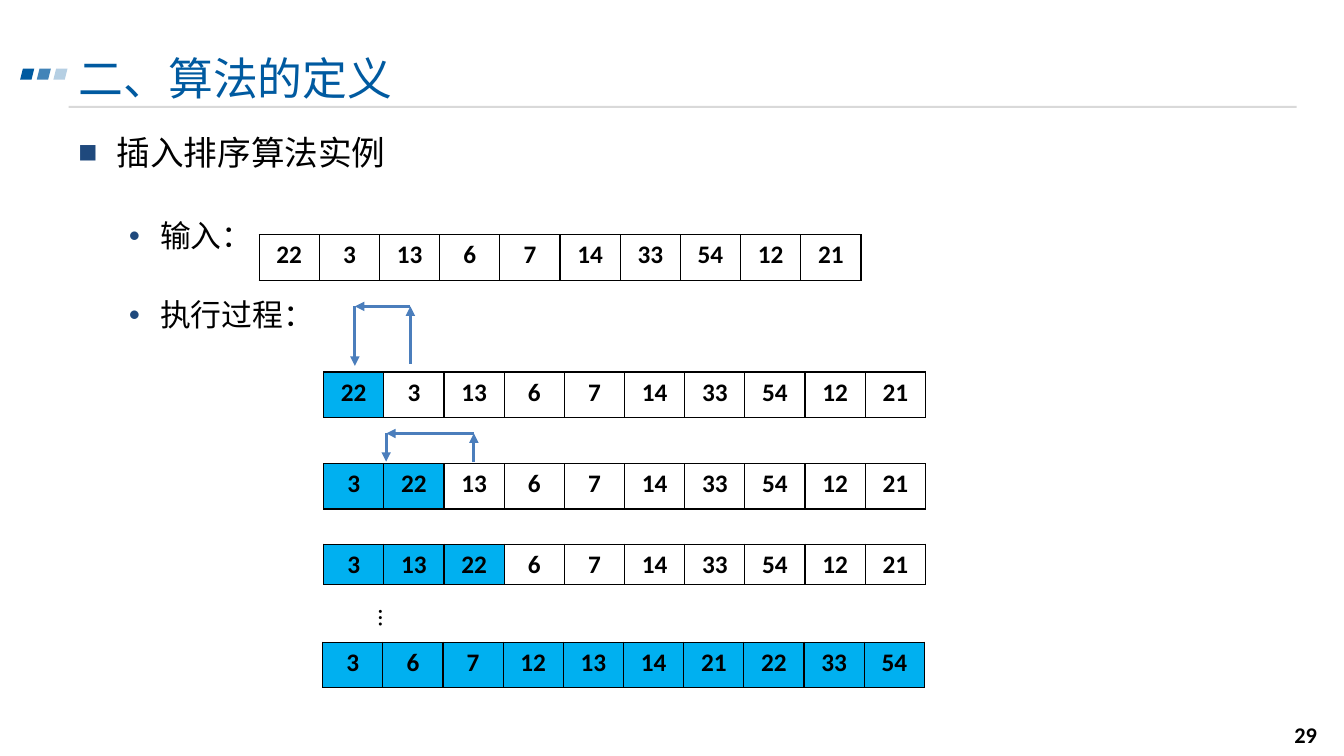
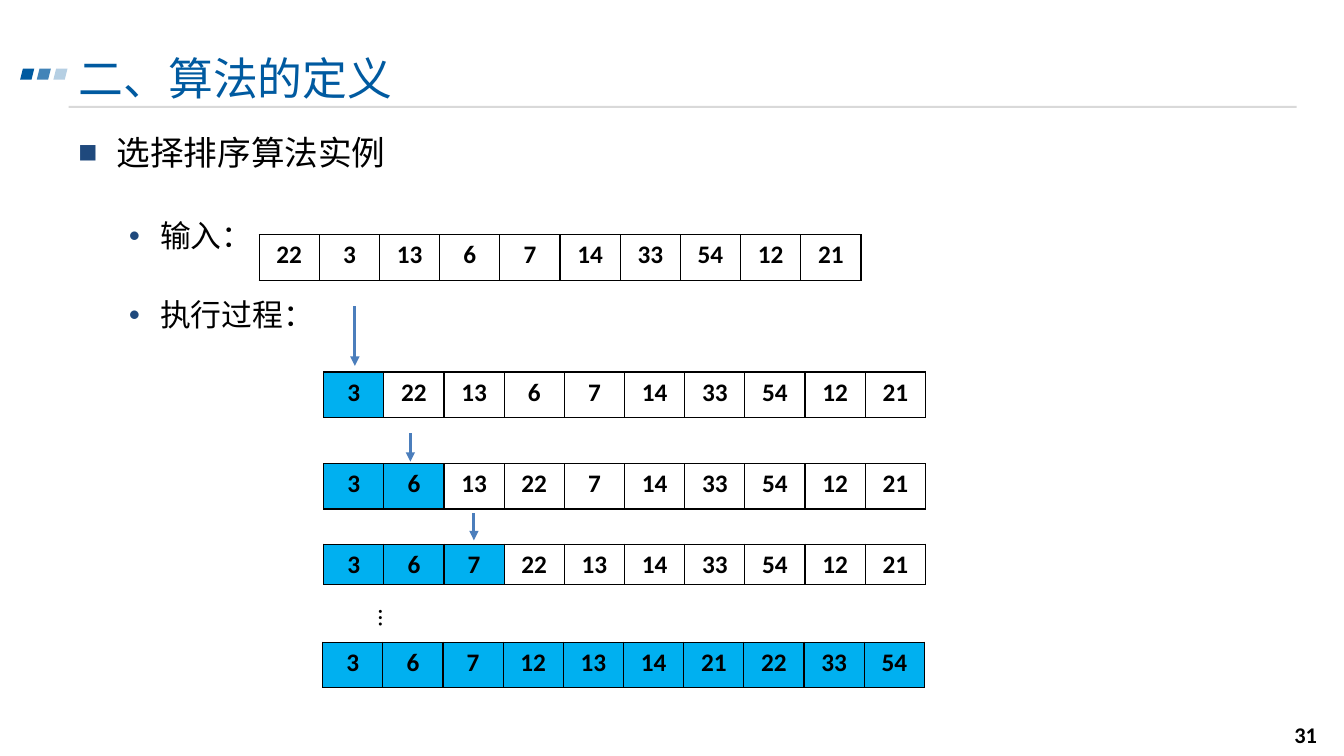
import itertools

import pptx
import pptx.util
import pptx.dml.color
import pptx.enum.shapes
import pptx.enum.text
import pptx.oxml
import pptx.oxml.ns
from lxml import etree

Inches, Pt = pptx.util.Inches, pptx.util.Pt
RGBColor = pptx.dml.color.RGBColor
SHAPE = pptx.enum.shapes.MSO_SHAPE
ALIGN = pptx.enum.text.PP_ALIGN
ANCHOR = pptx.enum.text.MSO_ANCHOR
qn = pptx.oxml.ns.qn

# Style
BLUE = RGBColor(0x00, 0x5A, 0xA0)
BULLET_BLUE = RGBColor(0x1F, 0x49, 0x7D)
ARROW_BLUE = RGBColor(0x4B, 0x7E, 0xBC)
SORTED_BLUE = RGBColor(0x00, 0xB0, 0xF0)
GREY = RGBColor(0xD9, 0xD9, 0xD9)
BLACK = RGBColor(0x00, 0x00, 0x00)
WHITE = RGBColor(0xFF, 0xFF, 0xFF)
LATIN, CJK = "Calibri", "Noto Sans CJK SC"

# Content
TITLE = "二、算法的定义"
INPUT = [22, 3, 13, 6, 7, 14, 33, 54, 12, 21]
RESULT = sorted(INPUT)
SLIDES = [
    {
        "number": "29",
        "heading": "插入排序算法实例",
        "steps": [
            INPUT,
            [3, 22, 13, 6, 7, 14, 33, 54, 12, 21],
            [3, 13, 22, 6, 7, 14, 33, 54, 12, 21],
        ],
        "arrows": [
            [(4.07, 3.61), (4.07, 3.04), (3.52, 3.04), (3.52, 3.63)],
            [(4.7, 4.58), (4.7, 4.3), (3.83, 4.3), (3.83, 4.58)],
        ],
    },
    {
        "number": "31",
        "heading": "选择排序算法实例",
        "steps": [
            [3, 22, 13, 6, 7, 14, 33, 54, 12, 21],
            [3, 6, 13, 22, 7, 14, 33, 54, 12, 21],
            [3, 6, 7, 22, 13, 14, 33, 54, 12, 21],
        ],
        "arrows": [
            [(3.52, 3.04), (3.52, 3.63)],
            [(4.07, 4.3), (4.07, 4.58)],
            [(4.7, 5.09), (4.7, 5.36)],
        ],
    },
]
STEP_PLACES = [(3.69, 0.45), (4.6, 0.45), (5.4, 0.4)]  # top, height
TABLE_WIDTH = 5.97

# Bullet levels: sign, left margin, hanging indent, text size
LEVELS = [("■", 0.38, 0.38, 24), ("●", 0.81, 0.31, 22)]


def add_xml(parent, tag, **attributes):
    return etree.SubElement(parent, qn(tag), attributes)


def set_font(para, size, color, latin=LATIN, bold=False):
    para.font.size = Pt(size)
    para.font.bold = bold
    para.font.name = latin
    para.font.color.rgb = color
    add_xml(para._p.pPr.find(qn("a:defRPr")), "a:ea", typeface=CJK)


def add_text(page, text, left, top, width, height):
    box = page.shapes.add_textbox(*map(Inches, (left, top, width, height)))
    box.text_frame.word_wrap = True
    para = box.text_frame.paragraphs[0]
    para.text = text
    return box, para


def add_plain_shape(page, kind, place, color, opacity=100):
    shape = page.shapes.add_shape(kind, *map(Inches, place))
    shape.shadow.inherit = False
    shape.fill.solid()
    shape.fill.fore_color.rgb = color
    shape.line.fill.background()
    if opacity < 100:
        color_node = shape._element.spPr.find(qn("a:solidFill"))[0]
        add_xml(color_node, "a:alpha", val=str(opacity * 1000))


def add_frame(page, number):
    # Title, rule, three marks and page number
    add_plain_shape(page, SHAPE.RECTANGLE, (0.68, 1.05, 12.18, 0.02), GREY)
    for index, opacity in enumerate((100, 74, 29)):
        place = (0.2 + index * 0.165, 0.68, 0.14, 0.11)
        add_plain_shape(page, SHAPE.PARALLELOGRAM, place, BLUE, opacity)

    title = page.shapes.title
    title.left, title.top = Inches(0.68), Inches(0.44)
    title.width, title.height = Inches(11.02), Inches(0.71)
    title.text_frame.text = TITLE
    title.text_frame.vertical_anchor = ANCHOR.MIDDLE
    para = title.text_frame.paragraphs[0]
    para.alignment = ALIGN.LEFT
    para.line_spacing = Pt(35)
    set_font(para, 32, BLUE)

    box, para = add_text(page, number, 12.44, 7.09, 0.72, 0.4)
    box.text_frame.vertical_anchor = ANCHOR.MIDDLE
    para.alignment = ALIGN.RIGHT
    set_font(para, 16, BLACK, bold=True)


def add_bullets(page, heading):
    box, para = add_text(page, heading, 0.68, 1.26, 12.13, 2.4)
    lines = [(para, 0, 0)]
    for text, gap in (("输入：", 32), ("执行过程：", 29.5)):
        para = box.text_frame.add_paragraph()
        para.text = text
        lines.append((para, 1, gap))
    for para, level, gap in lines:
        sign, margin, hanging, size = LEVELS[level]
        para.level = level
        para.space_before = Pt(gap)
        props = para._p.get_or_add_pPr()
        props.set("marL", str(Inches(margin)))
        props.set("indent", str(-Inches(hanging)))
        add_xml(add_xml(props, "a:buClr"), "a:srgbClr", val=str(BULLET_BLUE))
        add_xml(props, "a:buSzPct", val="60000")
        add_xml(props, "a:buFont", typeface=LATIN)
        add_xml(props, "a:buChar", char=sign)
        set_font(para, size, BLACK, latin=CJK)


def add_row(page, values, left, top, height, sorted_count):
    place = map(Inches, (left, top, TABLE_WIDTH, height))
    table = page.shapes.add_table(1, len(values), *place).table
    table.first_row = table.horz_banding = False
    for index, value in enumerate(values):
        table.columns[index].width = Inches(TABLE_WIDTH / len(values))
        cell = table.cell(0, index)
        cell.text = str(value)
        para = cell.text_frame.paragraphs[0]
        para.alignment = ALIGN.CENTER
        set_font(para, 18, BLACK, bold=True)
        props = cell._tc.get_or_add_tcPr()
        for side in "LRTB":
            border = add_xml(props, "a:ln" + side, w=str(Pt(1)))
            fill = add_xml(border, "a:solidFill")
            add_xml(fill, "a:srgbClr", val=str(BLACK))
        cell.fill.solid()
        cell.fill.fore_color.rgb = SORTED_BLUE if index < sorted_count else WHITE


def add_arrow(page, start, end):
    straight = pptx.enum.shapes.MSO_CONNECTOR.STRAIGHT
    arrow = page.shapes.add_connector(straight, *map(Inches, start + end))
    arrow.line.color.rgb = ARROW_BLUE
    arrow.line.width = Pt(2.25)
    add_xml(arrow.line._get_or_add_ln(), "a:tailEnd", type="triangle")
    add_xml(arrow._element.spPr, "a:effectLst")


def add_slide(deck, content):
    page = deck.slides.add_slide(deck.slide_layouts[5])
    add_frame(page, content["number"])
    add_bullets(page, content["heading"])

    # Input, the first steps and the sorted result
    add_row(page, INPUT, 2.57, 2.33, 0.45, 0)
    for count, (values, (top, height)) in enumerate(
            zip(content["steps"], STEP_PLACES), start=1):
        add_row(page, values, 3.21, top, height, count)
    add_row(page, RESULT, 3.2, 6.37, 0.45, len(RESULT))

    # Vertical ellipsis for the skipped steps
    box, para = add_text(page, "…", 3.56, 5.95, 0.5, 0.36)
    box.text_frame._txBody.bodyPr.set("vert", "eaVert")
    set_font(para, 18, BLACK)

    # Moves between the rows
    for points in content["arrows"]:
        for start, end in itertools.pairwise(points):
            add_arrow(page, start, end)


def main():
    deck = pptx.Presentation()
    deck.slide_width, deck.slide_height = Inches(13.33), Inches(7.5)
    for content in SLIDES:
        add_slide(deck, content)
    deck.save("out.pptx")


if __name__ == "__main__":
    main()
